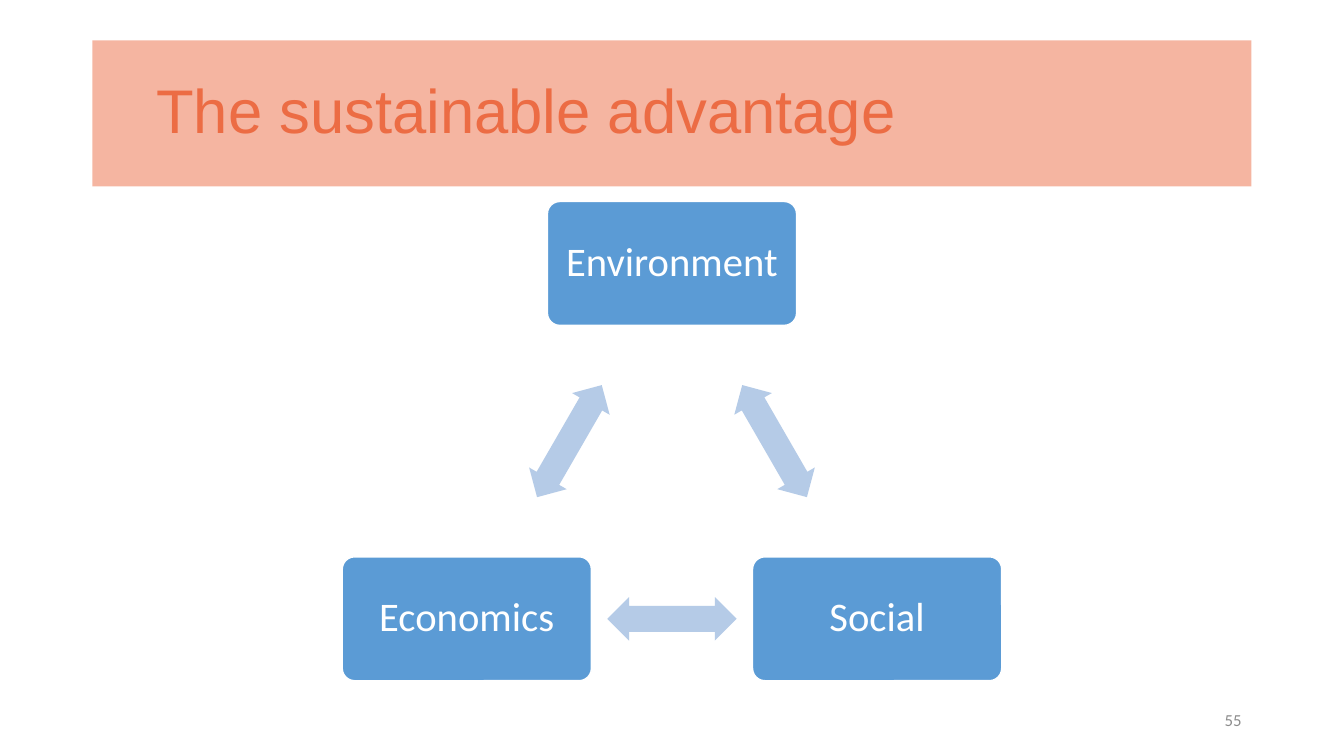
import math

from lxml import etree
from pptx import Presentation
from pptx import util as u
from pptx.dml import color as c
from pptx.enum import shapes, text
from pptx.oxml import ns

Pt = u.Pt


def rgb(value):
    return c.RGBColor.from_string(value)


class SlideBuilder:
    orange, blue, pale_blue = "EC6C44", "5B9BD5", "B5CBE7"
    white, grey = "FFFFFF", "8C8C8C"
    heading_font, body_font = "Arial", "Calibri"

    def __init__(self, slide):
        self.slide = slide

    def set_text(self, shape, words, size, color, font, align, inset):
        frame = shape.text_frame
        frame.text = words
        frame.word_wrap = True
        frame.auto_size = text.MSO_AUTO_SIZE.NONE
        frame.vertical_anchor = text.MSO_ANCHOR.MIDDLE
        frame.margin_left = frame.margin_right = Pt(inset)
        paragraph = frame.paragraphs[0]
        paragraph.alignment = align
        paragraph.line_spacing = 0.9
        paragraph.font.size = Pt(size)
        paragraph.font.name = font
        paragraph.font.color.rgb = rgb(color)

    def shape(self, kind, center_x, center_y, width, height, fill):
        shape = self.slide.shapes.add_shape(
            kind, Pt(center_x - width / 2), Pt(center_y - height / 2), Pt(width), Pt(height))
        shape.shadow.inherit = False
        shape.fill.solid()
        shape.fill.fore_color.rgb = rgb(fill)
        shape.line.fill.background()
        return shape

    def title(self, words):
        title = self.slide.shapes.title
        title.left, title.top, title.width, title.height = Pt(104.4), Pt(28.8), Pt(789.6), Pt(104.4)
        self.set_text(title, words, 44, self.orange, self.heading_font, text.PP_ALIGN.LEFT, 7.2)
        # Half-transparent band behind the title
        band = self.shape(shapes.MSO_SHAPE.RECTANGLE, 480, 81, 828, 104.4, self.orange)
        color = band.element.spPr.find(ns.qn("a:solidFill"))[0]
        etree.SubElement(color, ns.qn("a:alpha"), val="50000")
        title.element.addprevious(band.element)

    def box(self, words, center_x, center_y):
        box = self.shape(shapes.MSO_SHAPE.ROUNDED_RECTANGLE, center_x, center_y, 178, 88.5, self.blue)
        box.adjustments[0] = 0.1
        box.line.color.rgb = rgb(self.white)
        box.line.width = Pt(1)
        self.set_text(box, words, 29, self.white, self.body_font, text.PP_ALIGN.CENTER, 9)

    def arrow(self, center_x, center_y, rotation):
        arrow = self.shape(shapes.MSO_SHAPE.LEFT_RIGHT_ARROW, center_x, center_y, 92.4, 31, self.pale_blue)
        arrow.adjustments[0], arrow.adjustments[1] = 0.6, 0.5
        arrow.rotation = rotation

    def page_number(self, number):
        box = self.slide.shapes.add_textbox(Pt(678), Pt(500.4), Pt(216), Pt(28.8))
        self.set_text(box, number, 12, self.grey, self.body_font, text.PP_ALIGN.RIGHT, 7.2)


def main():
    presentation = Presentation()
    presentation.slide_width, presentation.slide_height = Pt(960), Pt(540)
    builder = SlideBuilder(presentation.slides.add_slide(presentation.slide_layouts[5]))
    builder.title("The sustainable advantage")

    # Cycle: boxes on the corners of an equilateral triangle, arrows on its sides
    labels = ["Environment", "Social", "Economics"]
    radius, step = 169.2, 360 / len(labels)
    corners = []
    for index in range(len(labels)):
        angle = math.radians(index * step)
        corners.append((480 + radius * math.sin(angle), 357.4 - radius * math.cos(angle)))
    for index, (label, (x, y)) in enumerate(zip(labels, corners)):
        next_x, next_y = corners[(index + 1) % len(corners)]
        builder.box(label, x, y)
        builder.arrow((x + next_x) / 2, (y + next_y) / 2, step / 2 + index * step)

    builder.page_number("55")
    presentation.save("out.pptx")


if __name__ == "__main__":
    main()
